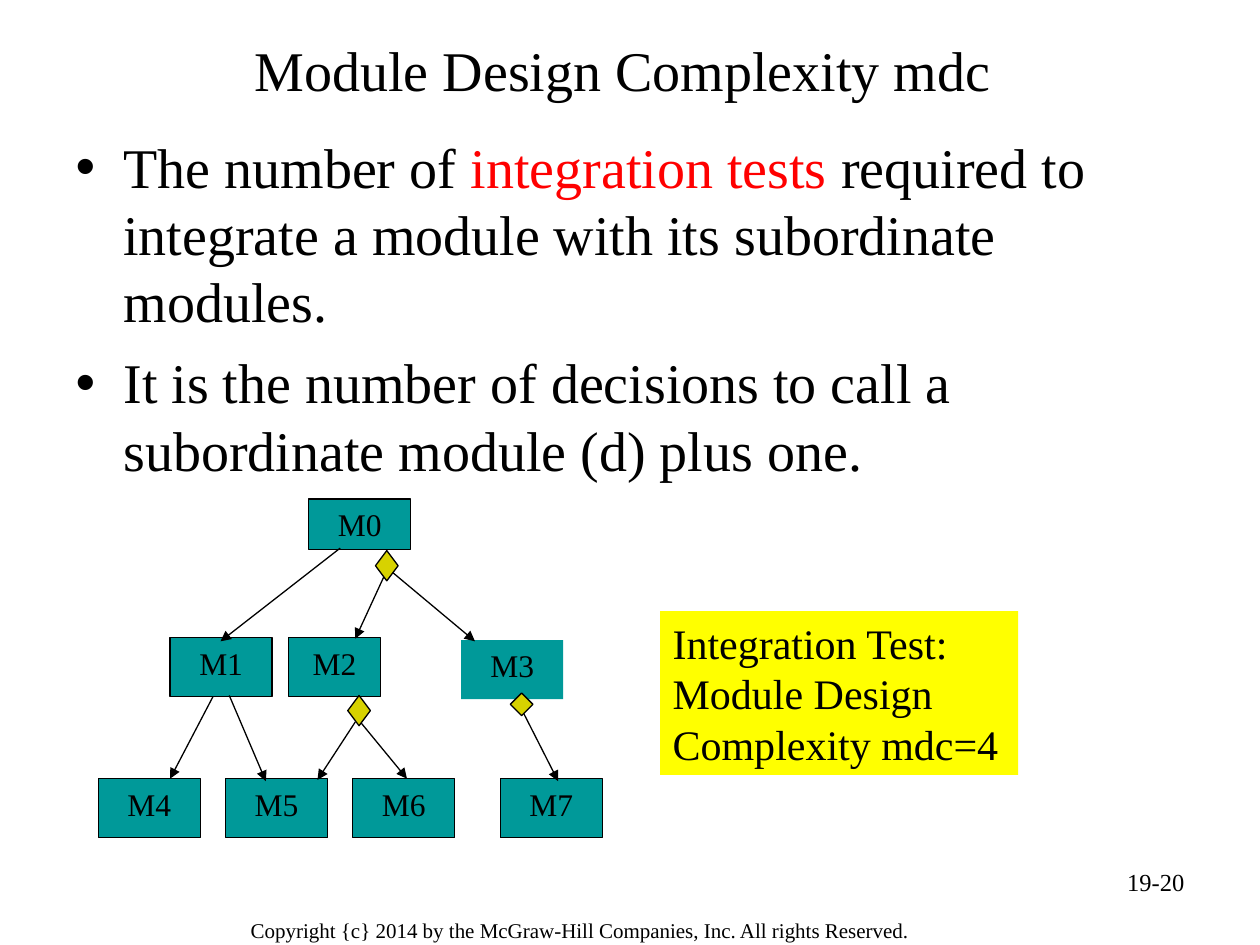
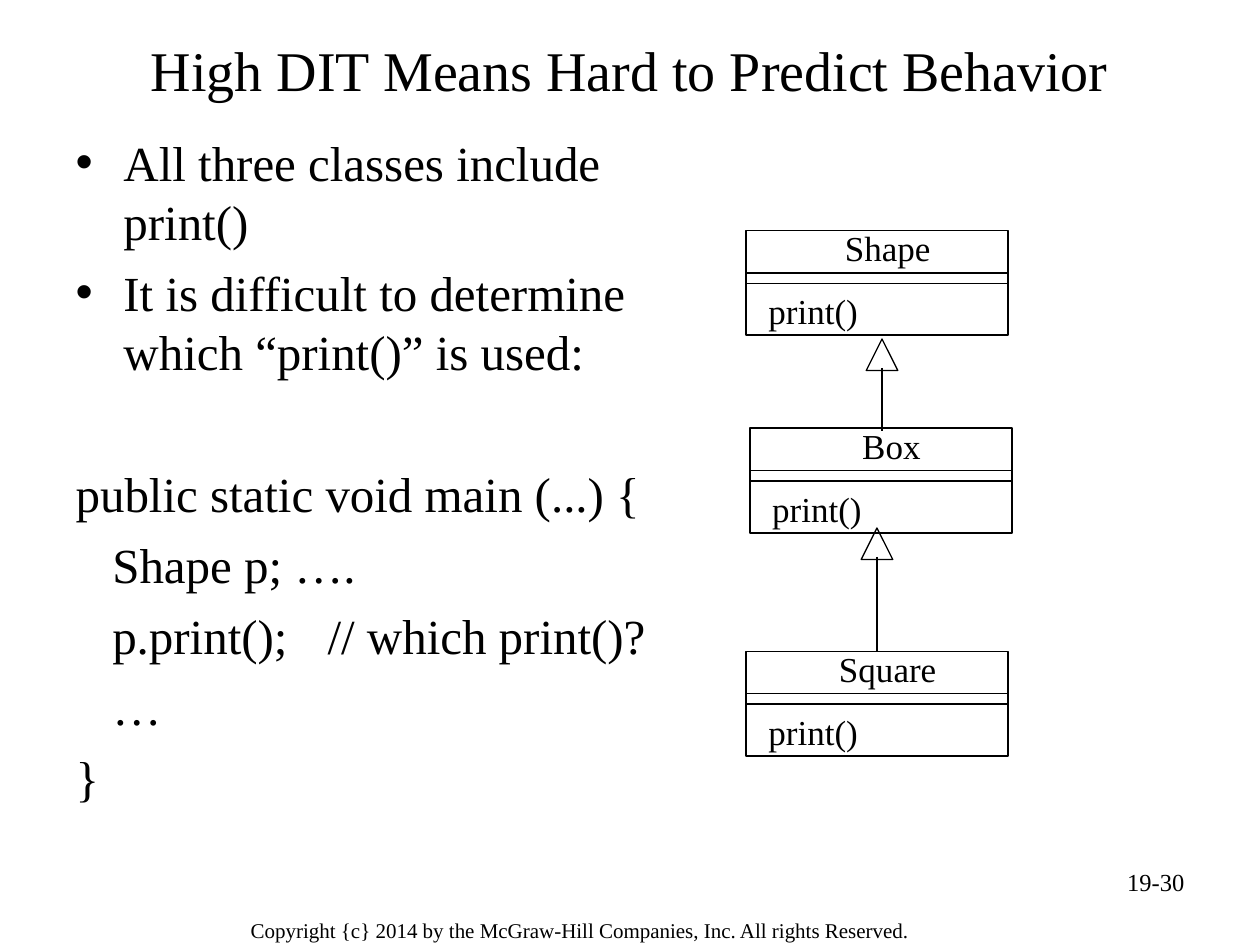
import pptx
import pptx.dml.color
import pptx.enum.shapes
import pptx.enum.text
import pptx.oxml.ns
import pptx.util
from lxml import etree

SLIDE_WIDTH = pptx.util.Inches(10)
SLIDE_HEIGHT = pptx.util.Inches(7.5)
COLUMN = SLIDE_WIDTH / 100
ROW = SLIDE_HEIGHT / 75

FONT = "Times New Roman"
BLACK, RED, TEAL, GOLD, YELLOW = "000000", "FF0000", "009999", "D7D200", "FFFF00"
COPYRIGHT = "Copyright {c} 2014 by the McGraw-Hill Companies, Inc. All rights Reserved."

ALIGN = pptx.enum.text.PP_ALIGN
ANCHOR = pptx.enum.text.MSO_ANCHOR
PRESET = pptx.enum.shapes.MSO_SHAPE

MODULE_WIDTH, MODULE_HEIGHT = 8.1, 4.7
CLASS_WIDTH, CLASS_HEIGHT = 20.8, 8.3
ARROW_SIDE = 2.5


def color(hex_code):
    return pptx.dml.color.RGBColor.from_string(hex_code)


def grid(column, row):
    return round(column * COLUMN), round(row * ROW)


def area(column, row, columns, rows):
    return grid(column, row) + grid(columns, rows)


def add_element(parent, tag, **attributes):
    return etree.SubElement(parent, pptx.oxml.ns.qn(tag), **attributes)


def write(paragraph, text, size=18, ink=BLACK, align=ALIGN.LEFT, before=0):
    paragraph.alignment = align
    paragraph.space_before = pptx.util.Pt(before)
    run = paragraph.add_run()
    run.text = text
    run.font.name = FONT
    run.font.size = pptx.util.Pt(size)
    run.font.color.rgb = color(ink)


def set_frame(frame, anchor=ANCHOR.TOP, inset=(0.1, 0.05)):
    frame.word_wrap = True
    frame.auto_size = pptx.enum.text.MSO_AUTO_SIZE.NONE
    frame.vertical_anchor = anchor
    frame.margin_left = frame.margin_right = pptx.util.Inches(inset[0])
    frame.margin_top = frame.margin_bottom = pptx.util.Inches(inset[1])


def add_label(slide, place, text, inset=(0.1, 0.05), **style):
    label = slide.shapes.add_textbox(*area(*place))
    set_frame(label.text_frame, inset=inset)
    write(label.text_frame.paragraphs[0], text, **style)


def add_figure(slide, preset, place, fill=None, line=0.75, text=None, **style):
    figure = slide.shapes.add_shape(preset, *area(*place))
    figure.shadow.inherit = False
    if fill:
        figure.fill.solid()
        figure.fill.fore_color.rgb = color(fill)
    else:
        figure.fill.background()
    if line:
        figure.line.color.rgb = color(BLACK)
        figure.line.width = pptx.util.Pt(line)
    else:
        figure.line.fill.background()
    if text:
        set_frame(figure.text_frame)
        write(figure.text_frame.paragraphs[0], text, **style)


def add_line(slide, start, end, width=0.75, arrow=False):
    line = slide.shapes.add_connector(
        pptx.enum.shapes.MSO_CONNECTOR.STRAIGHT, *grid(*start), *grid(*end))
    line.line.color.rgb = color(BLACK)
    line.line.width = pptx.util.Pt(width)
    if arrow:
        add_element(line.line._get_or_add_ln(), "a:tailEnd", type="triangle")
    add_element(line._element.spPr, "a:effectLst")


def set_bullet(paragraph):
    properties = paragraph._p.get_or_add_pPr()
    properties.set("marL", str(pptx.util.Inches(0.38)))
    properties.set("indent", str(pptx.util.Inches(-0.38)))
    add_element(properties, "a:buChar", char="•")


def set_code(paragraph, tab):
    properties = paragraph._p.get_or_add_pPr()
    properties.set("marL", "0")
    properties.set("indent", "0")
    add_element(properties, "a:buNone")
    stops = add_element(properties, "a:tabLst")
    add_element(stops, "a:tab", pos=str(pptx.util.Inches(tab)), algn="l")


def add_slide(deck, title, number, body_place):
    slide = deck.slides.add_slide(deck.slide_layouts[1])
    heading, body = slide.placeholders
    heading.left, heading.top, heading.width, heading.height = area(5, 1.7, 90, 7.5)
    set_frame(heading.text_frame, anchor=ANCHOR.MIDDLE)
    write(heading.text_frame.paragraphs[0], title, size=32, align=ALIGN.CENTER)
    body.left, body.top, body.width, body.height = area(*body_place)
    set_frame(body.text_frame)
    add_label(slide, (18.8, 72.2, 61.9, 3.1), COPYRIGHT, inset=(0.11, 0.06), size=12)
    add_label(slide, (71.7, 68.3, 23.3, 5.2), number, size=14, align=ALIGN.RIGHT)
    return slide, body.text_frame


def next_paragraph(frame):
    first = frame.paragraphs[0]
    return frame.add_paragraph() if first.runs else first


def add_module(slide, name, column, row, width=MODULE_WIDTH, height=MODULE_HEIGHT, line=0.75):
    add_figure(slide, PRESET.RECTANGLE, (column, row, width, height), fill=TEAL,
               line=line, text=name, align=ALIGN.CENTER)


def add_class(slide, name, column, row):
    add_figure(slide, PRESET.RECTANGLE, (column, row, CLASS_WIDTH, CLASS_HEIGHT), line=1)
    add_label(slide, (column + 2.5, row - 0.8, 17.5, 4.4), name, size=20, align=ALIGN.CENTER)
    for divider in (row + 3.35, row + 4.2):
        add_line(slide, (column, divider), (column + CLASS_WIDTH, divider), width=1)
    add_label(slide, (column + 0.8, row + 4.2, 15.8, 4.4), "print()", size=20)


def add_inheritance(slide, center, top, bottom):
    add_figure(slide, PRESET.ISOSCELES_TRIANGLE,
               (center - ARROW_SIDE / 2, top, ARROW_SIDE, ARROW_SIDE))
    add_line(slide, (center, top + 2.3), (center, bottom))


def build_complexity_slide(deck):
    slide, body = add_slide(deck, "Module Design Complexity mdc ", "19-20", (5, 10, 90, 29.5))
    definition = next_paragraph(body)
    set_bullet(definition)
    write(definition, "The number of ", size=32)
    write(definition, "integration tests ", size=32, ink=RED)
    write(definition, "required to integrate a module with its subordinate modules.", size=32)
    rule = next_paragraph(body)
    set_bullet(rule)
    write(rule, "It is the number of decisions to call a subordinate module (d) plus one.",
          size=32, before=8)

    add_module(slide, "M0", 24.5, 39.6, height=4)
    add_module(slide, "M1", 13.5, 50.6)
    add_module(slide, "M2", 22.9, 50.6, width=7.3)
    add_module(slide, "M3", 36.6, 50.8, line=None)
    for name, column in (("M4", 7.8), ("M5", 17.9), ("M6", 28), ("M7", 39.7)):
        add_module(slide, name, column, 61.8)

    calls = (
        ((27, 43.5), (17.5, 50.9)), ((30.5, 45.7), (28.2, 50.7)),
        ((31, 45.3), (37.7, 50.9)), ((16.9, 55.3), (13.5, 61.8)),
        ((18.2, 55.2), (21.1, 62)), ((28.2, 57.3), (25.2, 61.9)),
        ((28.6, 57.3), (32.3, 61.8)), ((41.3, 56.1), (44.3, 62)),
    )
    for caller, called in calls:
        add_line(slide, caller, called, arrow=True)
    for column, row, height in ((27.6, 55.2, 2.4), (29.8, 43.7, 2.4), (40.5, 55, 1.8)):
        add_figure(slide, PRESET.DIAMOND, (column, row, 1.8, height), fill=GOLD)

    add_figure(slide, PRESET.RECTANGLE, (52.4, 48.5, 28.4, 13), fill=YELLOW, line=None,
               text="Integration Test: Module Design Complexity mdc=4", size=24)


def build_inheritance_slide(deck):
    slide, body = add_slide(deck, "High DIT Means Hard to Predict Behavior", "19-30",
                            (5, 10, 51.3, 57))
    points = ("All three classes include print()",
              "It is difficult to determine which “print()” is used:")
    for index, point in enumerate(points):
        paragraph = next_paragraph(body)
        set_bullet(paragraph)
        write(paragraph, point, size=28, before=7 if index else 0)
    code = ("public static void main (...) {", "   Shape p; ….",
            "   p.print();\t// which print()?", "   …", "}")
    for index, statement in enumerate(code):
        paragraph = next_paragraph(body)
        set_code(paragraph, tab=2.07)
        write(paragraph, statement, size=28, before=7 if index else 47.5)

    add_inheritance(slide, 70, 26.9, 34.2)
    add_inheritance(slide, 69.6, 41.9, 51.7)
    add_class(slide, "Shape", 59.2, 18.3)
    add_class(slide, "Box", 59.5, 34)
    add_class(slide, "Square", 59.2, 51.7)


def main():
    deck = pptx.Presentation()
    deck.slide_width, deck.slide_height = SLIDE_WIDTH, SLIDE_HEIGHT
    build_complexity_slide(deck)
    build_inheritance_slide(deck)
    deck.save("out.pptx")


if __name__ == "__main__":
    main()
